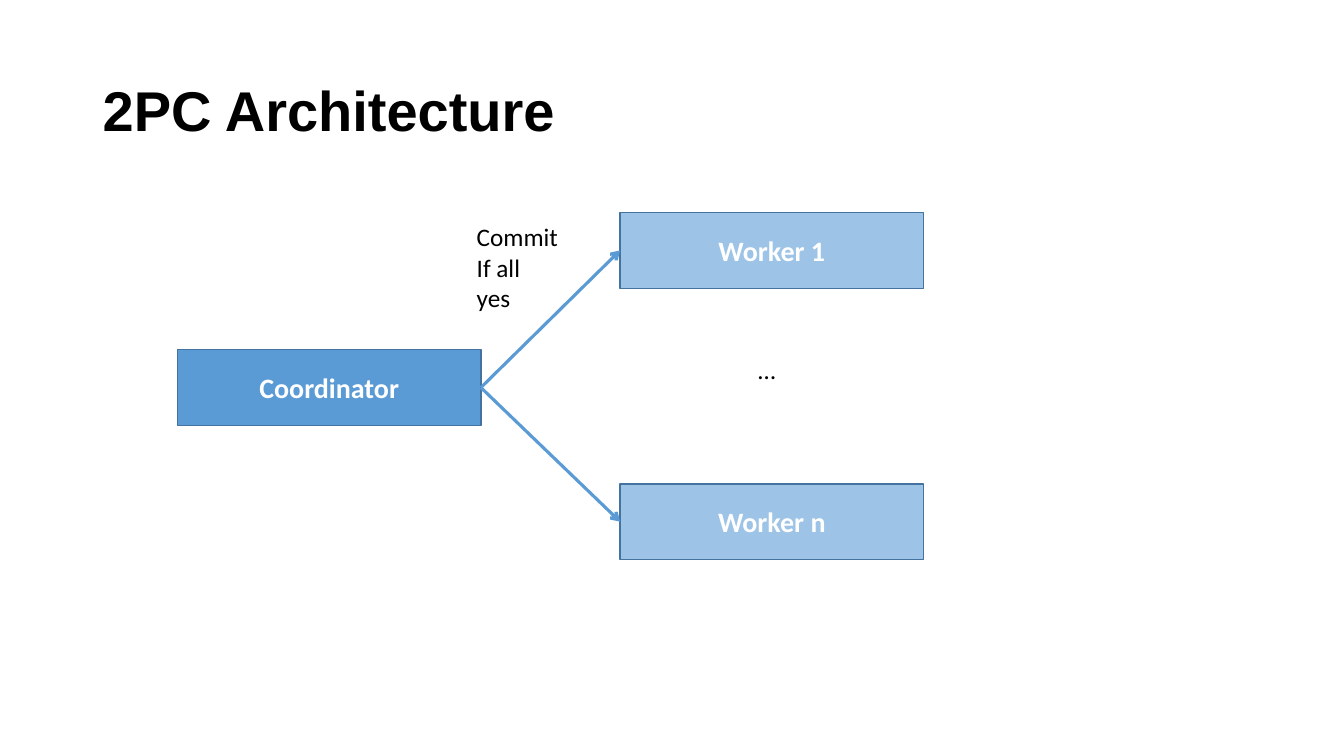
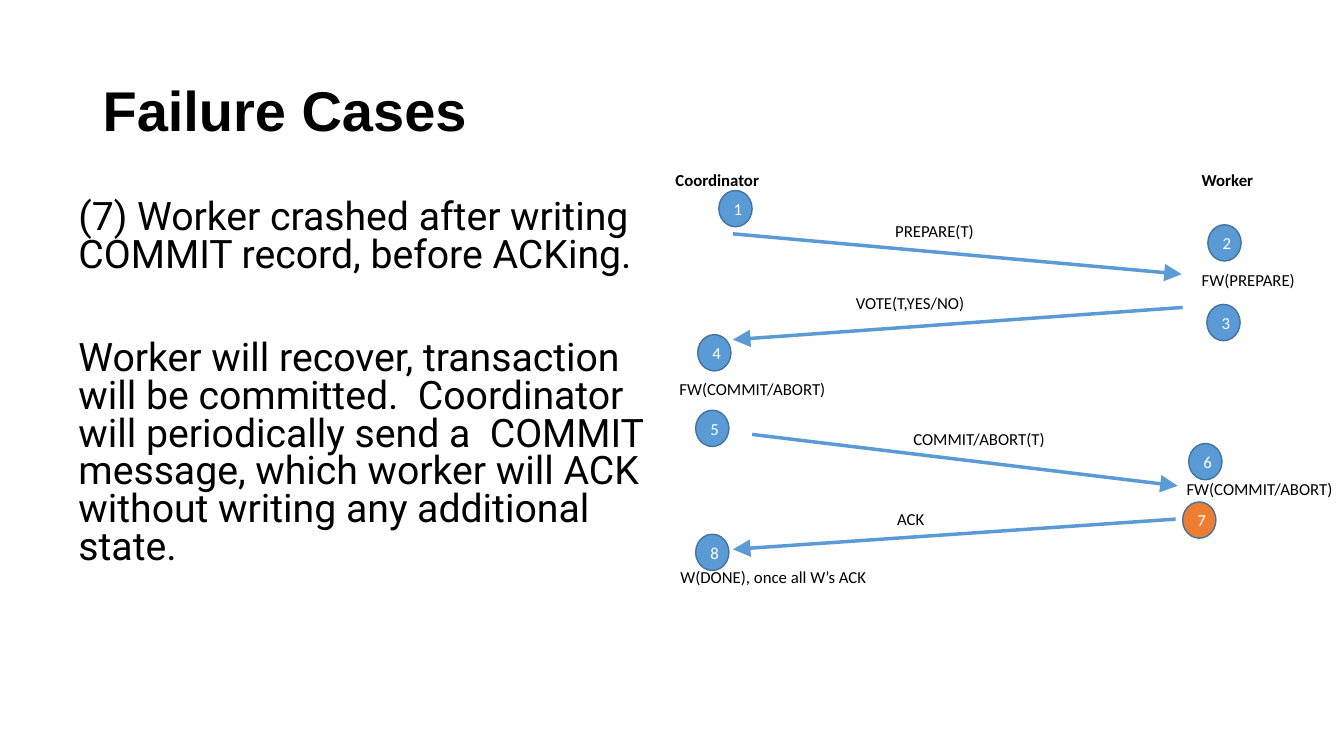
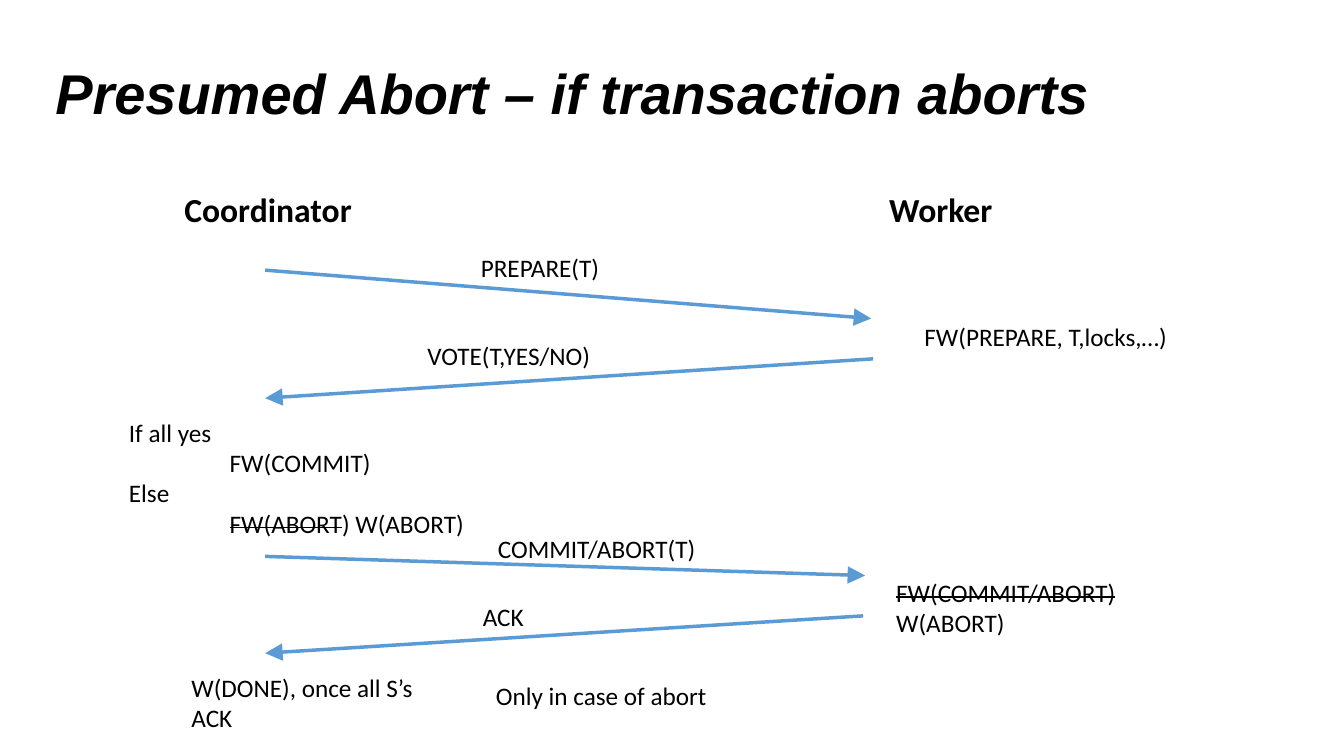
from pptx import Presentation, util as u
from pptx.dml.color import RGBColor
from pptx.enum import shapes, text
from pptx.oxml import xmlchemy as xml

BLACK, WHITE = "000000", "FFFFFF"
BLUE, PALE_BLUE, EDGE, ORANGE = "5B9BD5", "9DC3E6", "43739E", "ED7D31"


def rgb(code):
    """Turn a hex string into a colour."""
    return RGBColor.from_string(code)


def style(paragraph, size, name="Calibri", color=BLACK, bold=False, italic=False):
    """Set the font of a whole paragraph."""
    font = paragraph.font
    font.size, font.name = u.Pt(size), name
    font.bold, font.italic = bold, italic
    font.color.rgb = rgb(color)


def write(frame, lines, size, align=text.PP_ALIGN.LEFT, **font):
    """Write lines; a tab indents a line and tildes enclose struck words."""
    frame.word_wrap = True
    for index, line in enumerate(lines):
        paragraph = frame.paragraphs[0] if index == 0 else frame.add_paragraph()
        paragraph.alignment = align
        style(paragraph, size, **font)
        if line.startswith("\t"):
            paragraph._p.get_or_add_pPr().set("marL", str(u.Inches(1)))
        for part, words in enumerate(line.strip("\t").split("~")):
            if words:
                run = paragraph.add_run()
                run.text = words
                if part % 2:
                    run._r.get_or_add_rPr().set("strike", "sngStrike")


def label(slide, box, lines, size, **font):
    """Add a text box and return its frame."""
    frame = slide.shapes.add_textbox(*map(u.Inches, box)).text_frame
    write(frame, lines, size, **font)
    return frame


def title(slide, words, left=0.92, top=0.4, italic=False):
    """Add the slide heading."""
    frame = label(slide, (left, top, 11.5, 1.45), [words], 40,
                  name="Arial", bold=True, italic=italic)
    frame.vertical_anchor = text.MSO_ANCHOR.MIDDLE
    frame.paragraphs[0].line_spacing = 0.9


def node(slide, kind, box, words, size, fill=BLUE, bold=False):
    """Add an outlined shape with centred white text."""
    shape = slide.shapes.add_shape(kind, *map(u.Inches, box))
    shape.shadow.inherit = False
    shape.fill.solid()
    shape.fill.fore_color.rgb = rgb(fill)
    shape.line.color.rgb = rgb(EDGE)
    shape.line.width = u.Pt(1)
    shape.text_frame.vertical_anchor = text.MSO_ANCHOR.MIDDLE
    write(shape.text_frame, [words], size, text.PP_ALIGN.CENTER, color=WHITE, bold=bold)


def arrow(slide, start, end, width=2.5, head="triangle", head_size="lg"):
    """Draw an arrow from start to end."""
    line = slide.shapes.add_connector(
        shapes.MSO_CONNECTOR.STRAIGHT, *map(u.Inches, (*start, *end)))
    line.line.color.rgb = rgb(BLUE)
    line.line.width = u.Pt(width)
    tail = xml.OxmlElement("a:tailEnd")
    for key, value in (("type", head), ("w", head_size), ("len", head_size)):
        tail.set(key, value)
    properties = line._element.spPr
    properties.get_or_add_ln().append(tail)
    properties.append(xml.OxmlElement("a:effectLst"))


def architecture(slide, left, top):
    """Draw the coordinator and its workers."""
    width, height = 3.01, 0.75
    worker_left, coordinator_top = left + 4.39, top + 1.36
    port = (left + width, coordinator_top + height / 2)
    rectangle = shapes.MSO_SHAPE.RECTANGLE
    node(slide, rectangle, (left, coordinator_top, width, height),
         "Coordinator", 20, bold=True)
    for name, worker_top in (("Worker 1", top), ("Worker n", top + 2.69)):
        node(slide, rectangle, (worker_left, worker_top, width, height),
             name, 20, PALE_BLUE, True)
        arrow(slide, port, (worker_left, worker_top + height / 2), 2.25, "arrow", "med")
    label(slide, (left + 5.08, coordinator_top, 1.53, 0.4), ["…"], 18,
          align=text.PP_ALIGN.CENTER)
    label(slide, (left + 2.87, top + 0.04, 1.25, 1.01), ["Commit", "If all", "yes"], 18)


def explanation(slide, box, paragraphs):
    """Write the failure case and its outcome."""
    frame = label(slide, box, paragraphs, 28, name="Roboto")
    for paragraph, gap in zip(frame.paragraphs, (10, 47)):
        paragraph.line_spacing = 0.8
        paragraph.space_before = u.Pt(gap)


def exchange(slide, left, top, size, heading_size, caption_width,
             headings, messages, notes):
    """Draw the messages between coordinator and worker."""
    def place(x, y):
        return left + x, top + y

    for name, x, width in headings:
        label(slide, (*place(x, 0), width, heading_size / 60 + 0.1), [name],
              heading_size, bold=True)
    for words, start, end, caption in messages:
        arrow(slide, place(*start), place(*end))
        label(slide, (*place(*caption), caption_width, size / 60 + 0.1), [words], size)
    for x, y, width, lines in notes:
        label(slide, (*place(x, y), width, len(lines) * size / 60 + 0.1), lines, size)


def steps(slide, left, top, spots, failed):
    """Number the steps and highlight the failed one."""
    for number, (x, y) in enumerate(spots, 1):
        node(slide, shapes.MSO_SHAPE.OVAL, (left + x, top + y, 0.33, 0.36),
             str(number), 12, ORANGE if number == failed else BLUE)


def architecture_slide(slide):
    """Build the architecture slide."""
    title(slide, "2PC Architecture")
    architecture(slide, 1.76, 2.11)


def failure_slide(slide):
    """Build the failure case slide."""
    title(slide, "Failure Cases")
    explanation(slide, (0.68, 1.94, 6.08, 4.76), [
        "(7) Worker crashed after writing COMMIT record, before ACKing.",
        "Worker will recover, transaction will be committed.\u00a0 Coordinator will "
        "periodically send a\u00a0 COMMIT message, which worker will ACK without "
        "writing any additional state."])
    left, top = 6.6, 1.63
    exchange(
        slide, left, top, 12, 12, 2.04,
        [("Coordinator", 0, 2.08), ("Worker", 5.22, 1.04)],
        [("PREPARE(T)", (0.67, 0.69), (5.12, 1.09), (2.18, 0.51)),
         ("VOTE(T,YES/NO)", (5.13, 1.42), (0.67, 1.74), (1.79, 1.23)),
         ("COMMIT/ABORT(T)", (0.86, 2.68), (5.08, 3.19), (2.36, 2.57)),
         ("ACK", (5.06, 3.52), (0.67, 3.82), (2.2, 3.37))],
        [(5.22, 1, 1.14, ["FW(PREPARE)"]),
         (0.04, 2.08, 2.04, ["FW(COMMIT/ABORT)"]),
         (5.07, 3.07, 1.66, ["FW(COMMIT/ABORT)"]),
         (0.05, 3.94, 2.49, ["W(DONE), once all W’s ACK"])])
    steps(slide, left, top,
          [(0.53, 0.26), (5.38, 0.6), (5.37, 1.39), (0.32, 1.69),
           (0.3, 2.44), (5.19, 2.77), (5.13, 3.35), (0.3, 3.67)], failed=7)


def presumed_abort_slide(slide):
    """Build the presumed abort slide."""
    title(slide, "Presumed Abort – if transaction aborts", 0.45, 0.23, italic=True)
    exchange(
        slide, 1.18, 1.83, 18, 24, 2.75,
        [("Coordinator", 0.55, 2.81), ("Worker", 7.54, 2.81)],
        [("PREPARE(T)", (1.45, 0.85), (7.46, 1.33), (3.49, 0.62)),
         ("VOTE(T,YES/NO)", (7.48, 1.73), (1.45, 2.12), (2.96, 1.5)),
         ("COMMIT/ABORT(T)", (1.45, 3.69), (7.4, 3.88), (3.66, 3.41)),
         ("ACK", (7.38, 4.28), (1.45, 4.65), (3.51, 4.09))],
        [(7.89, 1.31, 2.75, ["FW(PREPARE, T,locks,…)"]),
         (0, 2.26, 4.54, ["If all yes", "\tFW(COMMIT)", "Else",
                          "\t~FW(ABORT~) W(ABORT)"]),
         (7.61, 3.85, 2.75, ["~FW(COMMIT/ABORT)~", "W(ABORT)"]),
         (0.62, 4.79, 2.75, ["W(DONE), once all S’s ACK"]),
         (3.64, 4.87, 2.75, ["Only in case of abort"])])


deck = Presentation()
deck.slide_width, deck.slide_height = u.Inches(13.33), u.Inches(7.5)
for build in (architecture_slide, failure_slide, presumed_abort_slide):
    build(deck.slides.add_slide(deck.slide_layouts[6]))
deck.save("out.pptx")
